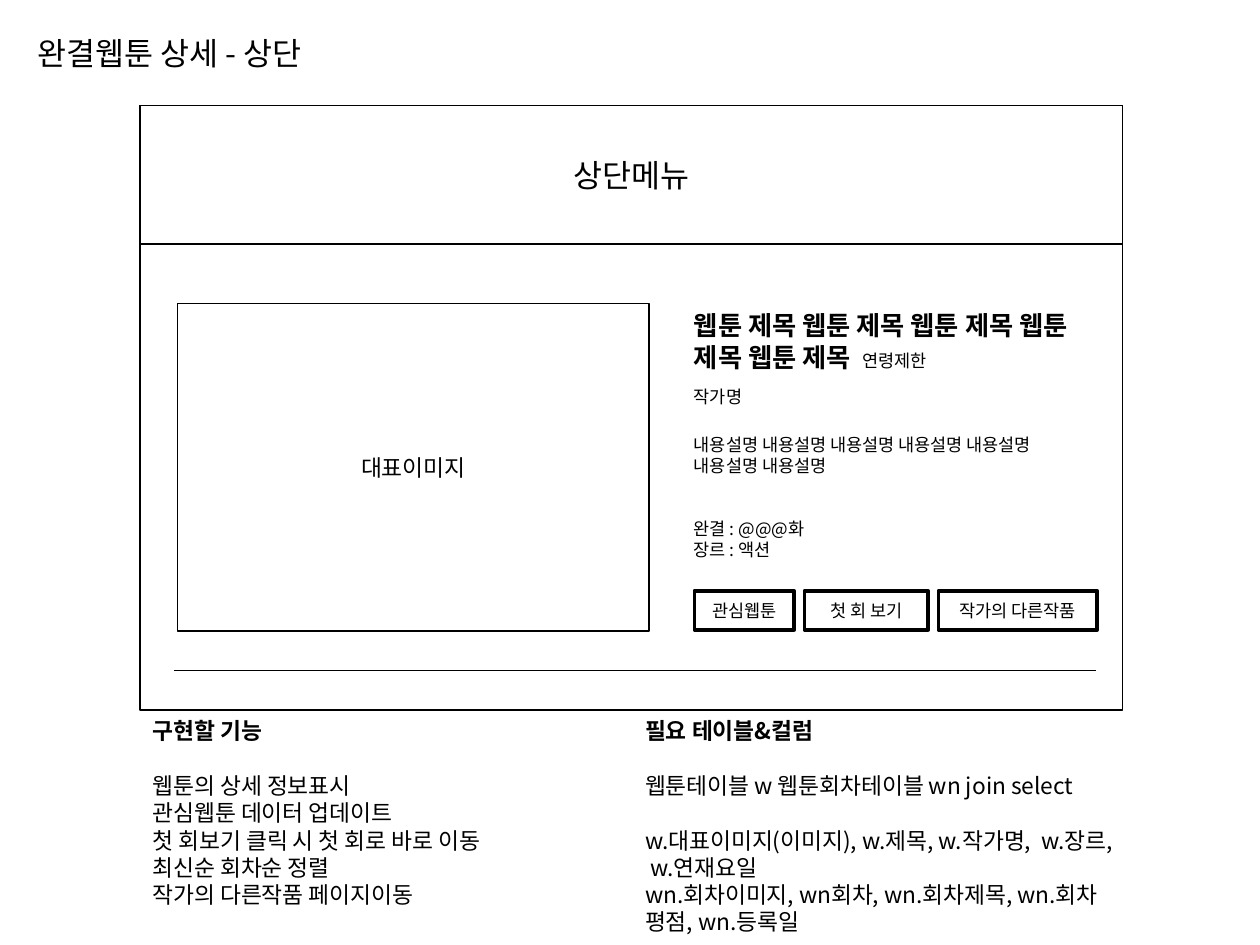
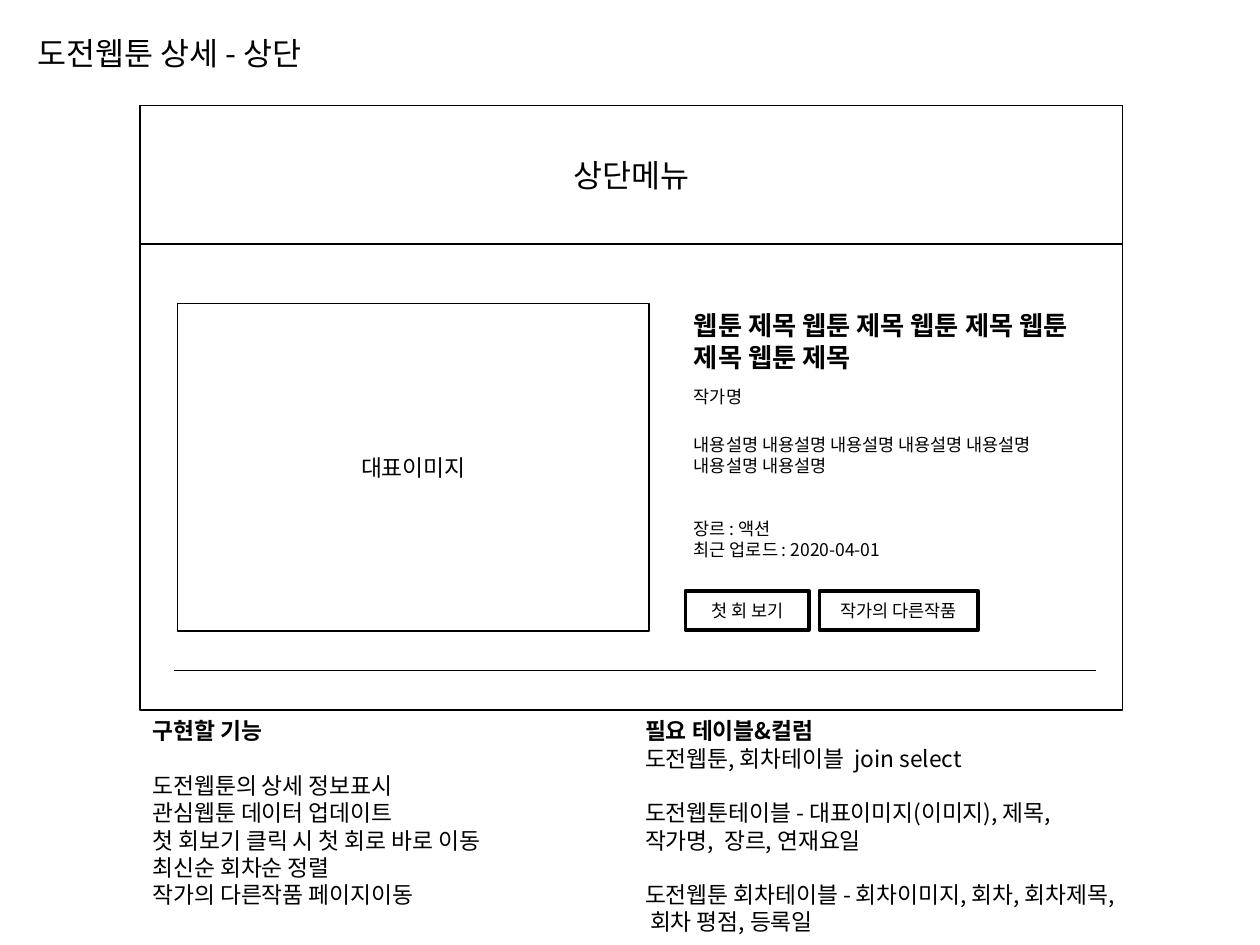
from dataclasses import dataclass

from lxml import etree
from pptx import Presentation
from pptx import util as u
from pptx.dml.color import RGBColor
from pptx.enum import shapes, text
from pptx.oxml.ns import qn


@dataclass(frozen=True)
class Theme:
    """Colours, font, type sizes and line widths shared by the slides."""
    font: str = "Noto Sans CJK KR"
    ink: RGBColor = RGBColor(0, 0, 0)
    paper: RGBColor = RGBColor(255, 255, 255)
    heading: int = 18
    name: int = 15
    body: int = 13
    small: int = 10
    leading: float = 1.2
    rule: float = 0.75
    thin: float = 1
    thick: float = 2


T = Theme()
FRAME = (2.82, 2.13, 19.81, 12.19)
TITLE = (0.51, 0.56, 8.41, 1.02)
FEATURES = (2.82, 14.33, 9.91, 4.14)
COLUMNS = (12.75, 14.33, 9.88, 4.7)
BUTTON_GAP = 0.21
BUTTON_WIDTHS = {"관심웹툰": 2.01, "첫 회 보기": 2.49, "작가의 다른작품": 3.2}
LINE = T.body * T.leading
WORK_NAME = "웹툰 제목 웹툰 제목 웹툰 제목 웹툰 제목 웹툰 제목"
SUMMARY = "내용설명 내용설명 내용설명 내용설명 내용설명 내용설명 내용설명"

PAGES = [
    dict(title="완결웹툰 상세 - 상단", age="연령제한",
         facts=["완결 : @@@화", "장르 : 액션"],
         buttons=["관심웹툰", "첫 회 보기", "작가의 다른작품"], button_left=0.26,
         subject="웹툰의",
         columns=[("웹툰테이블 w 웹툰회차테이블 wn join select", LINE),
                  ("w.대표이미지(이미지), w.제목, w.작가명,  w.장르, w.연재요일", LINE),
                  ("wn.회차이미지, wn회차, wn.회차제목, wn.회차 평점, wn.등록일", 0)]),
    dict(title="도전웹툰 상세 - 상단", age="",
         facts=["장르 : 액션", "최근 업로드 : 2020-04-01"],
         buttons=["첫 회 보기", "작가의 다른작품"], button_left=0.08,
         subject="도전웹툰의",
         columns=[("도전웹툰, 회차테이블  join select", 0),
                  ("도전웹툰테이블 - 대표이미지(이미지), 제목, 작가명,  장르, 연재요일", LINE),
                  ("도전웹툰 회차테이블 - 회차이미지, 회차, 회차제목, 회차 평점, 등록일", LINE)]),
]


def cm(box):
    """Turn a box in centimetres into lengths."""
    return [u.Cm(round(v, 2)) for v in box]


def put(obj, **values):
    """Set attributes from format values."""
    for key, value in values.items():
        setattr(obj, key, value)


def add_run(p, words, size, bold=False):
    """Add one run in the theme font."""
    r = p.add_run()
    r.text = words
    put(r.font, size=u.Pt(size), bold=bold, name=T.font)
    r.font.color.rgb = T.ink
    etree.SubElement(r.font._element, qn("a:ea")).set("typeface", T.font)


def write(tf, paras, align=text.PP_ALIGN.LEFT, anchor=text.MSO_ANCHOR.TOP):
    """Write paragraphs, each a space before and a list of runs."""
    put(tf, word_wrap=True, auto_size=text.MSO_AUTO_SIZE.NONE, vertical_anchor=anchor)
    for i, (gap, runs) in enumerate(paras):
        p = tf.paragraphs[0] if i == 0 else tf.add_paragraph()
        put(p, alignment=align, space_before=u.Pt(gap),
            line_spacing=u.Pt(runs[0][1] * T.leading))
        for run in runs:
            add_run(p, *run)


def place(sp, box):
    """Move a placeholder to a box."""
    put(sp, **dict(zip(("left", "top", "width", "height"), cm(box))))


def add_panel(s, box, words="", size=T.body, weight=T.thin):
    """Draw an outlined rectangle with a centred label."""
    sp = s.shapes.add_shape(shapes.MSO_SHAPE.RECTANGLE, *cm(box))
    sp.shadow.inherit = False
    sp.fill.solid()
    sp.fill.fore_color.rgb = T.paper
    sp.line.color.rgb = T.ink
    sp.line.width = u.Pt(weight)
    if words:
        write(sp.text_frame, [(0, [(words, size)])],
              text.PP_ALIGN.CENTER, text.MSO_ANCHOR.MIDDLE)


def add_text(s, box, paras):
    """Add a wrapping text box."""
    write(s.shapes.add_textbox(*cm(box)).text_frame, paras)


def add_rule(s, x, y, w):
    """Draw the horizontal line that closes the detail area."""
    ln = s.shapes.add_connector(shapes.MSO_CONNECTOR.STRAIGHT, *cm((x, y, x + w, y)))
    ln.line.color.rgb = T.ink
    ln.line.width = u.Pt(T.rule)
    etree.SubElement(ln._element.spPr, qn("a:effectLst"))


def fill_list(sp, box, heading, items):
    """Fill a body placeholder with a bold heading and plain lines."""
    place(sp, box)
    write(sp.text_frame, [(0, [(heading, T.body, True)])]
          + [(gap, [(words, T.body)]) for words, gap in items])
    for p in sp.text_frame.paragraphs:
        pPr = p._p.get_or_add_pPr()
        pPr.set("marL", "0")
        pPr.set("indent", "0")
        etree.SubElement(pPr, qn("a:buNone"))


def add_buttons(s, x, y, labels):
    """Lay a row of buttons from left to right."""
    for label in labels:
        w = BUTTON_WIDTHS[label]
        add_panel(s, (x, y, w, 0.79), label, T.small, T.thick)
        x += w + BUTTON_GAP


def add_info(s, box, page):
    """Place the work's name, details and buttons."""
    x, y, w, h = box
    name = [(WORK_NAME, T.name, True)]
    if page["age"]:
        name = [(WORK_NAME + "  ", T.name, True), (page["age"], T.small)]
    add_text(s, (x, y, w, 1.55), [(0, name)])
    first, second = page["facts"]
    lines = [(0, "작가명"), (LINE, SUMMARY),
             (2 * T.small * T.leading, first), (0, second)]
    add_text(s, (x, y + 1.53, w, 4.37),
             [(gap, [(words, T.small)]) for gap, words in lines])
    add_buttons(s, x + page["button_left"], y + h - 0.81, page["buttons"])


def add_wireframe(s, box, page):
    """Draw the page mock-up inside its frame."""
    x, y, w, h = box
    add_panel(s, box)
    add_panel(s, (x, y, w, 2.79), "상단메뉴", T.heading)
    add_panel(s, (x + 0.76, y + 3.99, 9.5, 6.6), "대표이미지")
    add_info(s, (x + 10.92, y + 3.99, 8.36, 6.6), page)
    add_rule(s, x + 0.69, y + 11.38, 18.59)


def add_page(prs, page):
    """Build one detail slide."""
    s = prs.slides.add_slide(prs.slide_layouts[3])
    title, features, columns = list(s.placeholders)[:3]
    place(title, TITLE)
    write(title.text_frame, [(0, [(page["title"], T.heading)])])
    tasks = [(page["subject"] + " 상세 정보표시", LINE)] + [
        (words, 0) for words in ("관심웹툰 데이터 업데이트", "첫 회보기 클릭 시 첫 회로 바로 이동",
                                 "최신순 회차순 정렬", "작가의 다른작품 페이지이동")]
    fill_list(features, FEATURES, "구현할 기능", tasks)
    fill_list(columns, COLUMNS, "필요 테이블&컬럼", page["columns"])
    add_wireframe(s, FRAME, page)


def main():
    """Build and save the deck."""
    prs = Presentation()
    put(prs, slide_width=u.Cm(25.4), slide_height=u.Cm(19.05))
    for page in PAGES:
        add_page(prs, page)
    prs.save("out.pptx")


if __name__ == "__main__":
    main()
